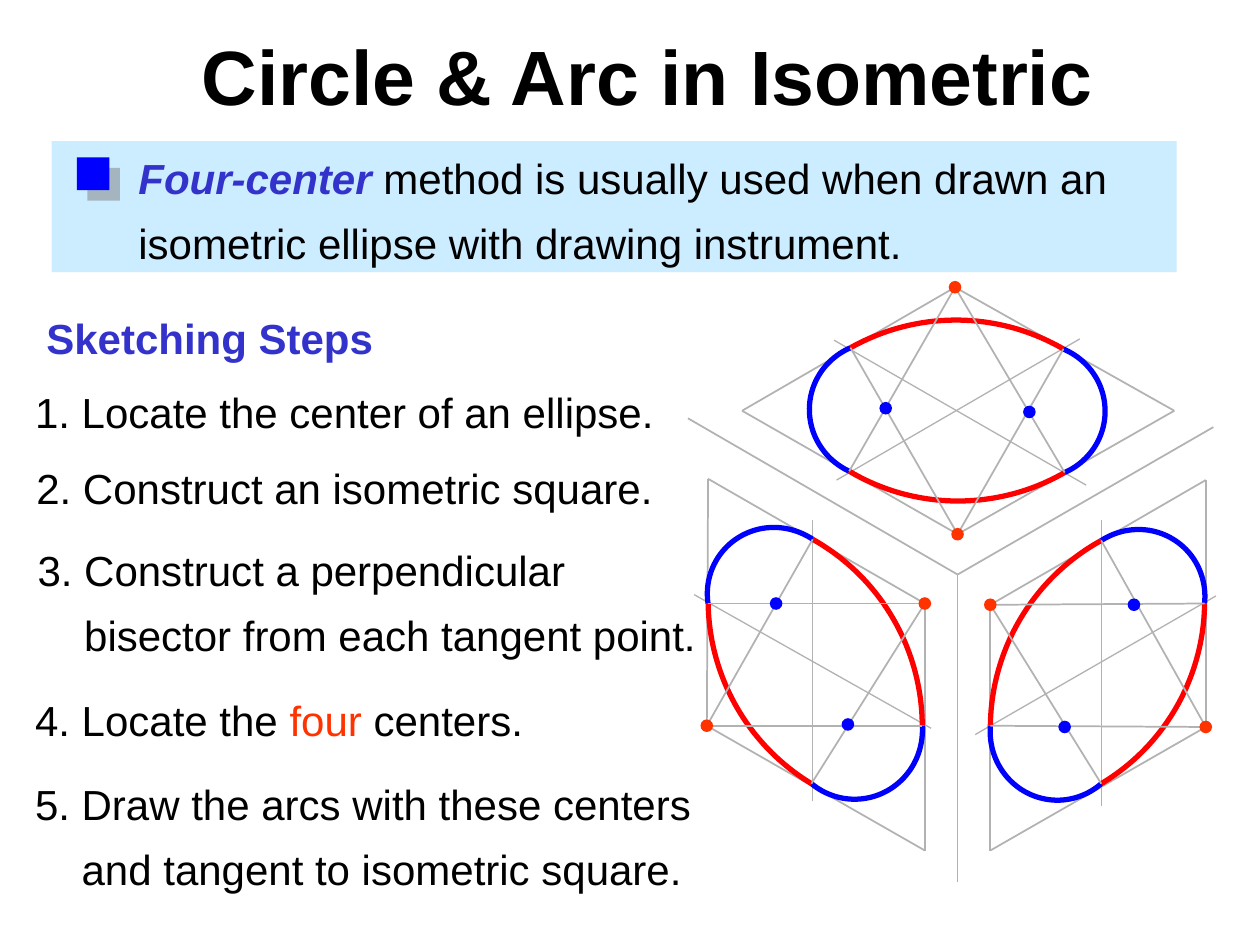
import math
from collections import namedtuple
from lxml import etree
from pptx import Presentation
from pptx import util as u
from pptx.dml.color import RGBColor
from pptx.enum import shapes, text
from pptx.oxml.ns import qn


class Theme:
    font, title, body = "Arial", 44, 24
    ink, accent, band = "000000", "3333CC", "CCECFF"
    blue, red, orange = "0000FF", "FF0000", "FF3300"
    grey, shade = "B2B2B2", "808080"
    thin, line, thick = 0.75, 1, 3


CELL = u.Inches(0.1)  # the slide is a grid of 100 columns by 75 rows
DOT = 1

# Columns and rows counted from the point where the three faces meet.
# Corners run acute, obtuse, acute, obtuse; tangents follow the edges.
Face = namedtuple("Face", "corners tangents small_centers axes turn")
LEFT = Face(((-19.8, -7.6), (-2.6, 2.3), (-2.6, 21.9), (-19.9, 12)),
            ((-11.5, -2.8), (-2.8, 12), (-11.6, 16.6), (-19.8, 2.3)),
            ((-14.4, 2.3), (-8.7, 11.9)),
            (((-20.9, 1.6), (-2.1, 12.2)), ((-11.5, 18), (-11.5, -4.3))), 0)
RIGHT = Face(((19.7, -7.5), (2.6, 2.4), (2.6, 21.9), (19.7, 12.1)),
             ((11.4, -2.7), (2.6, 12), (11.4, 16.6), (19.6, 2.3)),
             ((14, 2.4), (8.5, 12.1)),
             (((11.4, -4.3), (11.4, 18.4)), ((1.4, 12.7), (20.5, 1.7))), 0)
TOP = Face(((-17.1, -13), (-0.2, -22.8), (17.2, -13), (0, -3.2)),
           ((-8.5, -18), (8.4, -17.9), (8.5, -8.1), (-8.6, -8.2)),
           ((-5.7, -13.2), (5.7, -12.9)),
           (((10.2, -7.1), (-9.8, -18.6)), ((-9.6, -7.5), (9.7, -18.7))), 240)
FACES = (LEFT, RIGHT, TOP)
EDGE_ENDS = ((0, 24.4), (20.3, -11.7), (-21.4, -12.4))


def cells(*values):
    return [round(v * CELL) for v in values]


def rgb(color):
    return RGBColor.from_string(color)


def rotate(point, degrees):
    x, y = point
    c, s = math.cos(math.radians(degrees)), math.sin(math.radians(degrees))
    return x * c - y * s, x * s + y * c


def add_block(slide, kind, box, color):
    sp = slide.shapes.add_shape(kind, *cells(*box))
    sp.shadow.inherit = False
    sp.fill.solid()
    sp.fill.fore_color.rgb = rgb(color)
    sp.line.fill.background()
    return sp


def add_line(slide, hub, start, end, width=Theme.line):
    (hx, hy), (x1, y1), (x2, y2) = hub, start, end
    line = slide.shapes.add_connector(shapes.MSO_CONNECTOR.STRAIGHT,
                                      *cells(hx + x1, hy + y1, hx + x2, hy + y2))
    line.line.color.rgb = rgb(Theme.grey)
    line.line.width = u.Pt(width)
    etree.SubElement(line._element.spPr, qn("a:effectLst"))


def arc_points(center, start, end, bulge, curves=6):
    """Bezier points of the short sweep, easing between the two radii."""
    (cx, cy), step = center, 1 / curves
    a1, a2 = (math.atan2(y - cy, x - cx) for x, y in (start, end))
    r1, r2 = math.dist(center, start), math.dist(center, end)
    sweep = (a2 - a1 + math.pi) % math.tau - math.pi

    def at(share):
        radius = (r1 + (r2 - r1) * share) * (1 + bulge * math.sin(math.pi * share))
        angle = a1 + sweep * share
        return cx + radius * math.cos(angle), cy + radius * math.sin(angle)

    def handle(share, way):
        ahead, behind = at(share + 0.01), at(share - 0.01)
        return tuple(p + way * (a - b) / 0.02 * step / 3
                     for p, a, b in zip(at(share), ahead, behind))

    points = [at(0)]
    for i in range(curves):
        t1, t2 = i * step, (i + 1) * step
        points += [handle(t1, 1), handle(t2, -1), at(t2)]
    return points


def add_arc(slide, hub, ends, color, turn, bulge=0.0):
    points = [rotate(p, -turn) for p in arc_points(*ends, bulge)]
    builder = slide.shapes.build_freeform(*cells(*points[0]))
    builder.add_line_segments([cells(*p) for p in points[1:]], close=False)
    sp = builder.convert_to_shape()
    middle = rotate((sp.left + sp.width / 2, sp.top + sp.height / 2), turn)
    sp.left = round(hub[0] * CELL + middle[0] - sp.width / 2)
    sp.top = round(hub[1] * CELL + middle[1] - sp.height / 2)
    sp.rotation = turn
    segments = list(sp._element.iter(qn("a:lnTo")))
    for i in range(0, len(segments), 3):
        curve = etree.SubElement(segments[i].getparent(), qn("a:cubicBezTo"))
        for segment in segments[i:i + 3]:
            curve.append(segment[0])
            segment.getparent().remove(segment)
    sp.shadow.inherit = False
    sp.fill.background()
    sp.line.color.rgb = rgb(color)
    sp.line.width = u.Pt(Theme.thick)


def style_run(r, size=Theme.body, color=Theme.ink, bold=False, italic=False):
    r.font.name, r.font.size = Theme.font, u.Pt(size)
    r.font.bold, r.font.italic = bold, italic
    r.font.color.rgb = rgb(color)


def add_text(slide, box, parts, spacing=1.0, hanging=0):
    """Each part is its wording and a dict of run styles."""
    tf = slide.shapes.add_textbox(*cells(*box)).text_frame
    tf.word_wrap = True
    p = tf.paragraphs[0]
    p.line_spacing = spacing
    pPr = p._p.get_or_add_pPr()
    pPr.set("marL", str(cells(hanging)[0]))
    pPr.set("indent", str(-cells(hanging)[0]))
    for words, style in parts:
        for i, piece in enumerate(words.split("\n")):
            if i:
                p.add_line_break()
            r = p.add_run()
            r.text = piece
            style_run(r, **style)


def place_title(slide, box):
    sp = slide.shapes.title
    sp.left, sp.top, sp.width, sp.height = cells(*box)
    tf = sp.text_frame
    tf.text = "Circle & Arc in Isometric"
    tf.auto_size, tf.word_wrap = text.MSO_AUTO_SIZE.NONE, False
    tf.vertical_anchor = text.MSO_ANCHOR.TOP
    tf.paragraphs[0].alignment = text.PP_ALIGN.CENTER
    style_run(tf.paragraphs[0].runs[0], Theme.title, bold=True)


def place_banner(slide, box):
    x, y, w, h = box
    add_block(slide, shapes.MSO_SHAPE.RECTANGLE, box, Theme.band)
    add_text(slide, (x + 5.9, y - 0.8, w - 7.5, h + 1),
             [("Four-center ", dict(color=Theme.accent, bold=True, italic=True)),
              ("method is usually used when drawn an isometric ellipse "
               "with drawing instrument.", {})], spacing=1.3)
    bullet = add_block(slide, shapes.MSO_SHAPE.RECTANGLE,
                       (x + 2, y + 1.3, 2.6, 2.6), Theme.blue)
    shadow = etree.SubElement(bullet._element.spPr.find(qn("a:effectLst")),
                              qn("a:outerShdw"), dist=str(u.Pt(8.5)), dir="2700000")
    color = etree.SubElement(shadow, qn("a:srgbClr"), val=Theme.shade)
    etree.SubElement(color, qn("a:alpha"), val="50000")


def place_steps(slide, box):
    x, y, w, _ = box
    add_text(slide, (x + 0.9, y, w / 2, 5),
             [("Sketching Steps", dict(color=Theme.accent, bold=True))])
    for dx, dy, h, spacing, parts in (
            (0, 5.9, 5, 1.0, [("1. Locate the center of an ellipse.", {})]),
            (0.1, 11.9, 5, 1.0, [("2. Construct an isometric square.", {})]),
            (0.2, 17.2, 11.4, 1.3, [("3. Construct a perpendicular\n"
                                     "bisector from each tangent point.", {})]),
            (0, 29.1, 6.2, 1.3, [("4. Locate the ", {}), ("centers.", {})]),
            (0, 35.8, 11.4, 1.3, [("5. Draw the arcs with these centers\n"
                                   "and tangent to isometric square.", {})])):
        if len(parts) > 1:
            parts.insert(1, ("four ", dict(color=Theme.orange)))
        add_text(slide, (x + dx, y + dy, w, h), parts, spacing, hanging=3.7)


def place_drawing(slide, hub):
    for face in FACES:
        for i, corner in enumerate(face.corners):
            add_line(slide, hub, corner, face.corners[(i + 1) % 4])
    for start, end in (axis for face in FACES for axis in face.axes):
        add_line(slide, hub, start, end, Theme.thin)
    for end in EDGE_ENDS:
        add_line(slide, hub, (0, 0), end)
    for face in FACES:
        (t1, t2, t3, t4), (first, second) = face.tangents, face.small_centers
        for ends in ((second, t2, t3), (first, t4, t1)):
            add_arc(slide, hub, ends, Theme.blue, face.turn, bulge=0.07)
        for ends in ((face.corners[3], t1, t2), (face.corners[1], t3, t4)):
            add_arc(slide, hub, ends, Theme.red, face.turn)
    for face in FACES:
        big_centers = face.corners[3], face.corners[1]
        for i, tangent in enumerate(face.tangents):
            add_line(slide, hub, big_centers[i // 2], tangent)
        for i, center in enumerate(big_centers + face.small_centers):
            x, y = (h + c - DOT / 2 for h, c in zip(hub, center))
            add_block(slide, shapes.MSO_SHAPE.OVAL, (x, y, DOT, DOT),
                      Theme.orange if i < 2 else Theme.blue)


prs = Presentation()
prs.slide_width, prs.slide_height = cells(100, 75)
page = prs.slides.add_slide(prs.slide_layouts[5])
place_title(page, (14.9, 1.8, 73, 8.4))
place_banner(page, (4.1, 11.2, 89.3, 10.4))
place_steps(page, (1.8, 24.3, 56, 47.2))
place_drawing(page, (76, 45.6))
prs.save("out.pptx")
